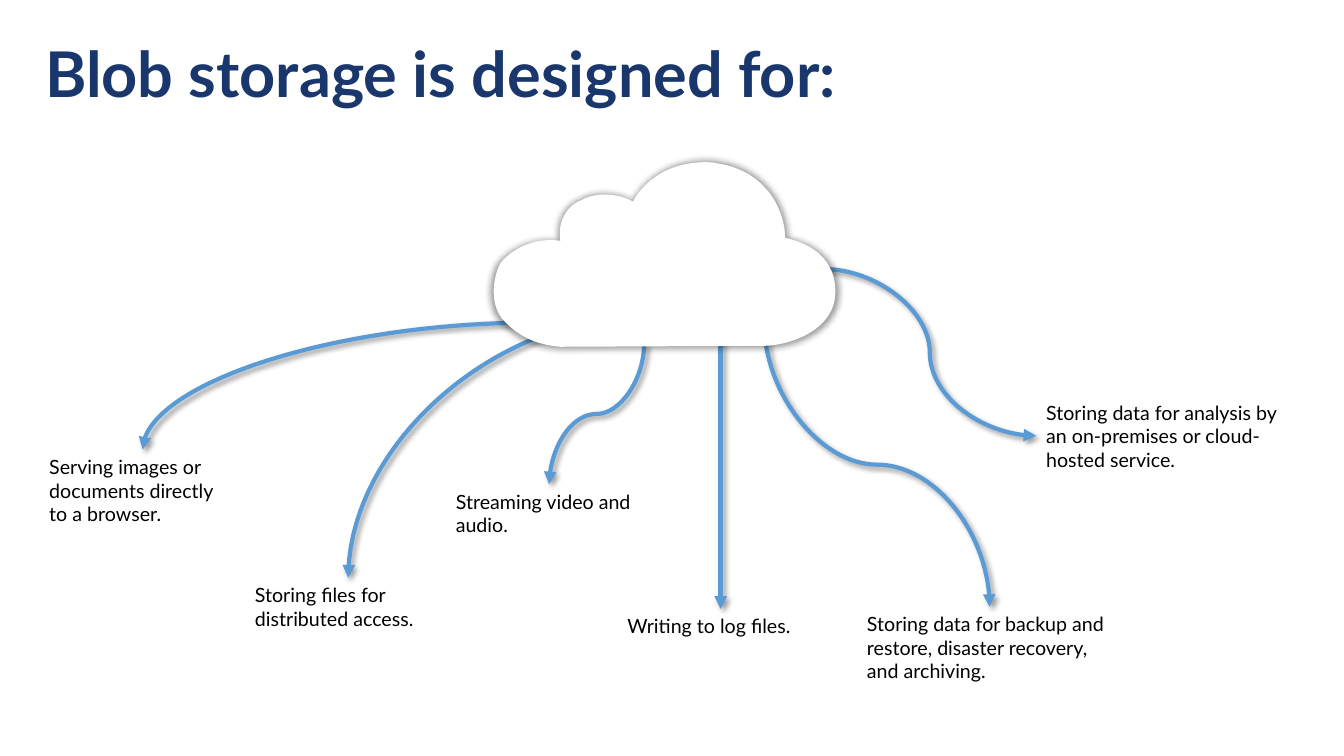
from pptx import Presentation
from pptx.dml.color import RGBColor
from pptx.enum.shapes import MSO_CONNECTOR as Link
from pptx.enum.text import MSO_ANCHOR as Anchor
from pptx.oxml import parse_xml
from pptx.oxml.ns import nsdecls, qn
from pptx.util import Pt

NAVY = RGBColor(0x19, 0x37, 0x6C)
BLUE = RGBColor(0x5A, 0x9B, 0xD5)
BLACK = RGBColor(0, 0, 0)
WHITE = RGBColor(255, 255, 255)
FONT = "Lato"

TITLE = "Blob storage is designed for:"

# text, left, top, width, lines, arrow start, arrow kind
USES = [
    ("Serving images or documents directly to a browser.",
     28.1, 321.1, 147.6, 3, (383.8, 230.4), "bend"),
    ("Storing files for distributed access.",
     175, 412.6, 147.6, 2, (460.1, 226.1), "bend"),
    ("Storing data for backup and restore, disaster recovery, and archiving.",
     612.2, 433.4, 189.4, 3, (545.8, 230.4), "down"),
    ("Storing data for analysis by an on-premises or cloud-hosted service.",
     740.2, 282.2, 182.9, 3, (588.2, 192.2), "across"),
    ("Streaming video and audio.",
     318.5, 345.9, 147.6, 2, (460.1, 245.5), "down"),
    ("Writing to log files.",
     441, 434.9, 147.6, 1, (514.8, 203), "down"),
]

# Cloud outline: a start point, then two handles and an end for each curve;
# a single point is a straight edge.
START = (505.4, 115.9)
CLOUD = [
    [(507.6, 115.9), (509.8, 115.9), (511.9, 116.6)],
    [(550.1, 122.4), (560.9, 153.4), (560.9, 169.9)],
    [(596.2, 177.8), (598.3, 202.3), (596.2, 214.6)],
    [(591.1, 239.8), (558, 247), (546.5, 247)],
    [(400.3, 247.7)],
    [(382.3, 246.2), (369.4, 239.8), (358.6, 227.5)],
    [(353.9, 221.4), (352.5, 213.9), (352.7, 206.7)],
    [(353, 199.6), (355, 193), (357.1, 188.6)],
    [(361.4, 182.2), (378, 168.5), (400.3, 172.1)],
    [(398.2, 159.8), (403.9, 147.6), (414.7, 143.3)],
    [(427.7, 136.1), (442.8, 138.9), (452.2, 144)],
    [(457.2, 133.9), (473.8, 115.2), START],
]


def add_text(slide, text, box, size, color, bold=False):
    frame = slide.shapes.add_textbox(*map(Pt, box)).text_frame
    frame.word_wrap = True
    frame.vertical_anchor = Anchor.MIDDLE
    para = frame.paragraphs[0]
    run = para.add_run()
    run.text = text
    font = run.font
    font.name, font.size, font.bold = FONT, Pt(size), bold
    font.color.rgb = color
    return para


def add_shadow(shape, blur, dist, angle, grow=100):
    shape.element.spPr.append(parse_xml(
        f'<a:effectLst {nsdecls("a")}><a:outerShdw blurRad="{Pt(blur)}" '
        f'dist="{Pt(dist)}" dir="{angle * 60000}" sx="{grow * 1000}" '
        f'sy="{grow * 1000}" algn="ctr" rotWithShape="0">'
        '<a:srgbClr val="000000"><a:alpha val="40000"/></a:srgbClr>'
        '</a:outerShdw></a:effectLst>'))


def add_arrow(slide, start, end, kind):
    (x1, y1), (x2, y2) = start, end
    turn = 0
    if kind == "down":
        # Lay the curve on its side about its centre, then turn it upright.
        mid_x, mid_y = (x1 + x2) / 2, (y1 + y2) / 2
        half_w, half_h = (y2 - y1) / 2, abs(x2 - x1) / 2
        turn = 90
        if x2 >= x1:
            turn, half_w = 270, -half_w
        x1, x2 = mid_x - half_w, mid_x + half_w
        y1, y2 = mid_y - half_h, mid_y + half_h
    arrow = slide.shapes.add_connector(Link.CURVE, *map(Pt, (x1, y1, x2, y2)))
    arrow.line.color.rgb = BLUE
    arrow.line.width = Pt(3)
    props = arrow.element.spPr
    if turn:
        props.find(qn("a:xfrm")).set("rot", str(turn * 60000))
    if kind == "bend":
        props.find(qn("a:prstGeom")).set("prst", "curvedConnector2")
    props.find(qn("a:ln")).append(
        parse_xml(f'<a:tailEnd {nsdecls("a")} type="triangle"/>'))
    add_shadow(arrow, 4, 3, 45)


def add_cloud(slide):
    pen = slide.shapes.build_freeform(*map(Pt, START))
    pen.add_line_segments([tuple(map(Pt, part[-1])) for part in CLOUD])
    cloud = pen.convert_to_shape()
    outline = next(cloud.element.iter(qn("a:path")))
    edges = outline.findall(qn("a:lnTo"))
    for edge, part in zip(edges, CLOUD):
        if len(part) == 3:
            points = "".join(
                f'<a:pt x="{Pt(x) - cloud.left}" y="{Pt(y) - cloud.top}"/>'
                for x, y in part)
            outline.replace(edge, parse_xml(
                f'<a:cubicBezTo {nsdecls("a")}>{points}</a:cubicBezTo>'))
    outline.append(parse_xml(f'<a:close {nsdecls("a")}/>'))
    cloud.fill.solid()
    cloud.fill.fore_color.rgb = WHITE
    cloud.line.fill.background()
    add_shadow(cloud, 5, 0, 0, 102)


def main():
    deck = Presentation()
    deck.slide_width, deck.slide_height = Pt(960), Pt(540)
    slide = deck.slides.add_slide(deck.slide_layouts[6])
    title = add_text(slide, TITLE, (25.2, 26.6, 911.5, 56.9), 45, NAVY, True)
    title.line_spacing = 0.9
    for text, left, top, width, lines, start, kind in USES:
        height = 7.5 + 16.9 * lines
        add_text(slide, text, (left, top, width, height), 14, BLACK)
        if kind == "across":
            end = (left, top + height / 2)
        else:
            end = (left + width / 2, top)
        add_arrow(slide, start, end, kind)
    add_cloud(slide)
    deck.save("out.pptx")


if __name__ == "__main__":
    main()
